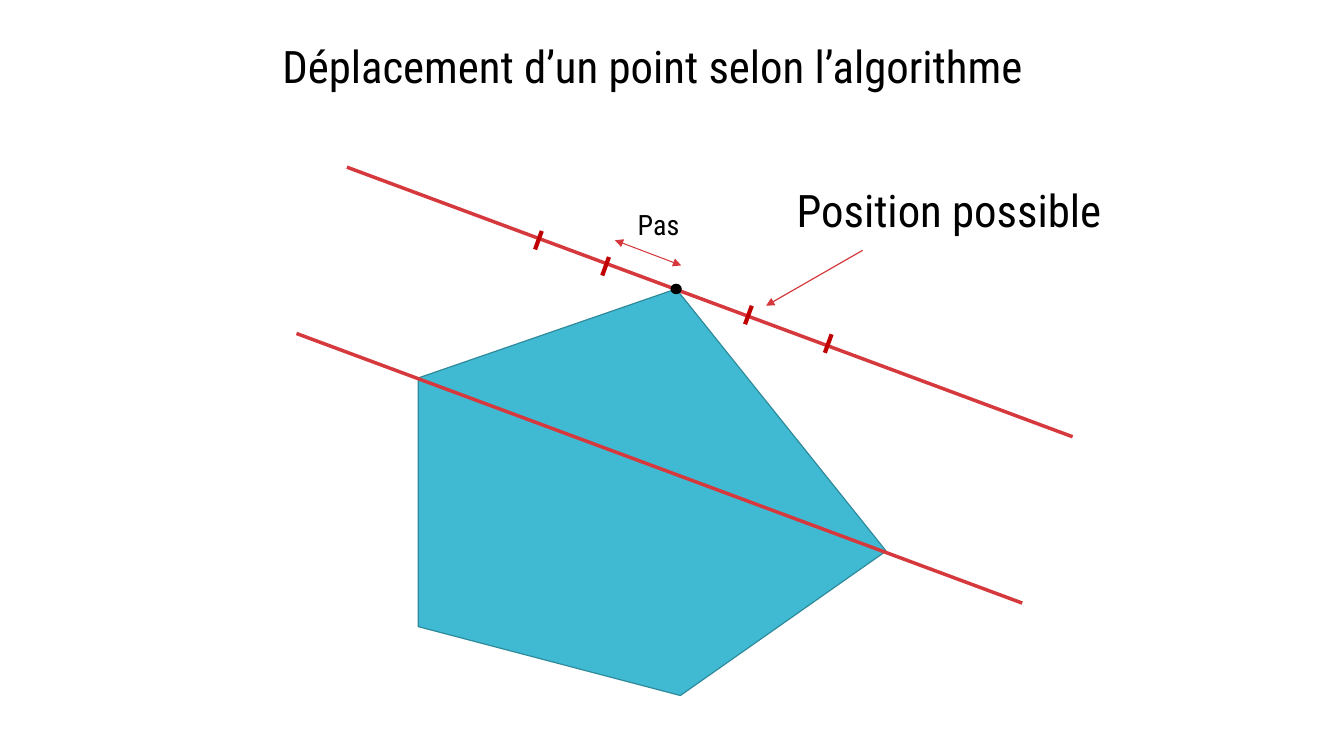
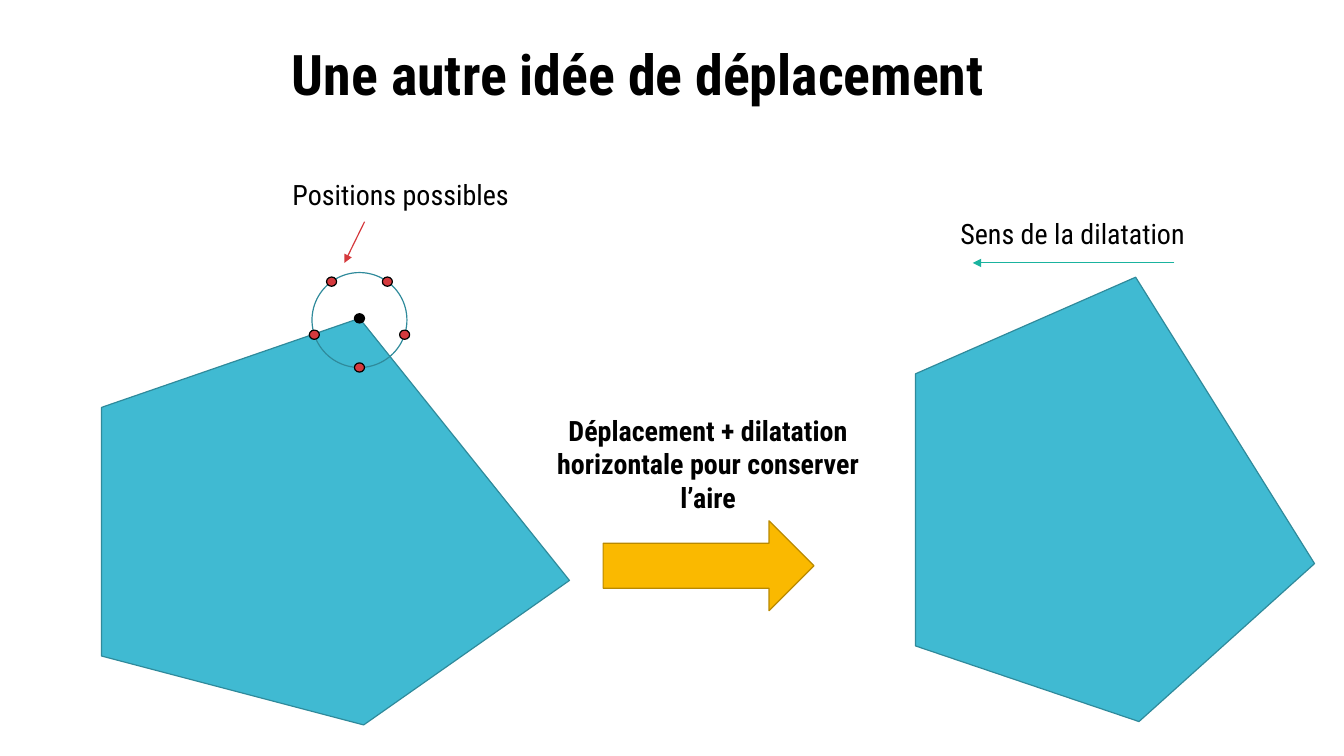
import math
from lxml import etree
from pptx import Presentation
from pptx.dml import color
from pptx.enum import shapes, text
from pptx.oxml import ns
from pptx import util as u

COLUMNS, ROWS = 160, 90
FONT = "Roboto Condensed"
BLACK, RED, DARK_RED = "000000", "D5393D", "C00000"
BLUE, DARK_BLUE, GREEN = "40BAD2", "2F8A9B", "1AB39F"
YELLOW, DARK_YELLOW = "FAB900", "B98900"
THIN = 0.85
LABEL_WIDTH = 41.4
DOT_WIDTH, DOT_HEIGHT = 1.2, 1.1
PENTAGON = [(0, 10.6), (0, 40.2), (31.2, 48.4), (55.7, 31.2), (30.7, 0)]
STRETCHED = [(0, 11.5), (0, 43.9), (26.6, 52.9), (47.5, 34.1), (26.2, 0)]
APEX_X, APEX_Y = PENTAGON[-1]

deck = Presentation()
deck.slide_width, deck.slide_height = u.Inches(40 / 3), u.Inches(7.5)
COLUMN, ROW = deck.slide_width / COLUMNS, deck.slide_height / ROWS


def paint(shape, line, width=THIN, fill=None, ends=()):
    if fill:
        shape.fill.solid()
        shape.fill.fore_color.rgb = color.RGBColor.from_string(fill)
    elif hasattr(shape, "fill"):
        shape.fill.background()
    shape.line.color.rgb = color.RGBColor.from_string(line)
    shape.line.width = u.Pt(width)
    properties = shape._element.spPr
    outline = properties.find(ns.qn("a:ln"))
    for end in ends:
        etree.SubElement(outline, ns.qn(f"a:{end}"), type="triangle")
    etree.SubElement(properties, ns.qn("a:effectLst"))


def write(page, words, left, top, width=LABEL_WIDTH, height=5.3, size=20, bold=False):
    box = page.shapes.add_textbox(
        round(left * COLUMN), round(top * ROW), round(width * COLUMN), round(height * ROW)
    )
    frame = box.text_frame
    frame.word_wrap = True
    frame.auto_size = text.MSO_AUTO_SIZE.SHAPE_TO_FIT_TEXT
    para = frame.paragraphs[0]
    para.alignment = text.PP_ALIGN.CENTER
    span = para.add_run()
    span.text = words
    span.font.name = FONT
    span.font.size = u.Pt(size)
    span.font.bold = bold
    span.font.color.rgb = color.RGBColor.from_string(BLACK)


line_page, circle_page = [deck.slides.add_slide(deck.slide_layouts[6]) for _ in range(2)]

for page, left, top, corners in [
    (line_page, 49.8, 34.4, PENTAGON),
    (circle_page, 12.1, 37.9, PENTAGON),
    (circle_page, 109, 33, STRETCHED),
]:
    points = [(round((left + x) * COLUMN), round((top + y) * ROW)) for x, y in corners]
    builder = page.shapes.build_freeform(*points[0])
    builder.add_line_segments(points[1:], close=True)
    paint(builder.convert_to_shape(), DARK_BLUE, fill=BLUE)

guides = [(x, y, x + 86.4, y + 32.1, RED, 2.5, ()) for x, y in [(35.3, 39.7), (41.3, 19.9)]]
ticks = [
    (x + 0.4, y - 1.1, x - 0.4, y + 1.1, DARK_RED, 3, ())
    for x, y in [(64.1, 28.6), (72.1, 31.7), (89.1, 37.5), (98.6, 40.9)]
]
line_arrows = [
    (102.7, 29.8, 91.2, 36.4, RED, THIN, ["tailEnd"]),
    (73.2, 28.6, 81.1, 31.6, RED, 0.75, ["headEnd", "tailEnd"]),
]
circle_arrows = [
    (43.4, 26.4, 41, 31.3, RED, THIN, ["tailEnd"]),
    (139.8, 31.3, 115.8, 31.3, GREEN, 0.75, ["tailEnd"]),
]
for page, lines in [(line_page, guides + ticks + line_arrows), (circle_page, circle_arrows)]:
    for x1, y1, x2, y2, hue, width, ends in lines:
        connector = page.shapes.add_connector(
            shapes.MSO_CONNECTOR.STRAIGHT,
            round(x1 * COLUMN), round(y1 * ROW), round(x2 * COLUMN), round(y2 * ROW),
        )
        paint(connector, hue, width, ends=ends)

OVAL, ARROW = shapes.MSO_SHAPE.OVAL, shapes.MSO_SHAPE.RIGHT_ARROW
center_x, center_y, radius = 12.1 + APEX_X, 38.1, 5.65
figures = [
    (line_page, OVAL, 49.8 + APEX_X, 34.4 + APEX_Y, DOT_WIDTH, DOT_HEIGHT, BLACK, BLACK),
    (circle_page, OVAL, center_x, 37.9 + APEX_Y, DOT_WIDTH, DOT_HEIGHT, BLACK, BLACK),
    (circle_page, OVAL, center_x, center_y, 2 * radius, 2 * radius, DARK_BLUE, None),
    (circle_page, ARROW, 84.35, 67.35, 25.1, 10.7, DARK_YELLOW, YELLOW),
]
for step in range(5):
    angle = math.radians(90 + 72 * step)
    x, y = center_x + radius * math.cos(angle), center_y + radius * math.sin(angle)
    figures.append((circle_page, OVAL, x, y, DOT_WIDTH, DOT_HEIGHT, BLACK, RED))

for page, preset, x, y, width, height, edge, fill in figures:
    figure = page.shapes.add_shape(
        preset,
        round((x - width / 2) * COLUMN), round((y - height / 2) * ROW),
        round(width * COLUMN), round(height * ROW),
    )
    paint(figure, edge, fill=fill)

write(line_page, "Déplacement d’un point selon l’algorithme", 5.2, 4, width=145.1, height=7.7, size=32)
write(line_page, "Position possible", 92.3, 21.2, height=7.7, size=32)
write(line_page, "Pas", 57.7, 24.1)
write(circle_page, "Une autre idée de déplacement", 12.1, 4.1, width=127.7, height=15.7, size=40, bold=True)
write(circle_page, "Positions possibles", 27, 20.6)
write(
    circle_page, "Déplacement + dilatation horizontale pour conserver l’aire",
    63.6, 48.6, height=13.2, bold=True,
)
write(circle_page, "Sens de la dilatation", 107, 25.2)

deck.save("out.pptx")
